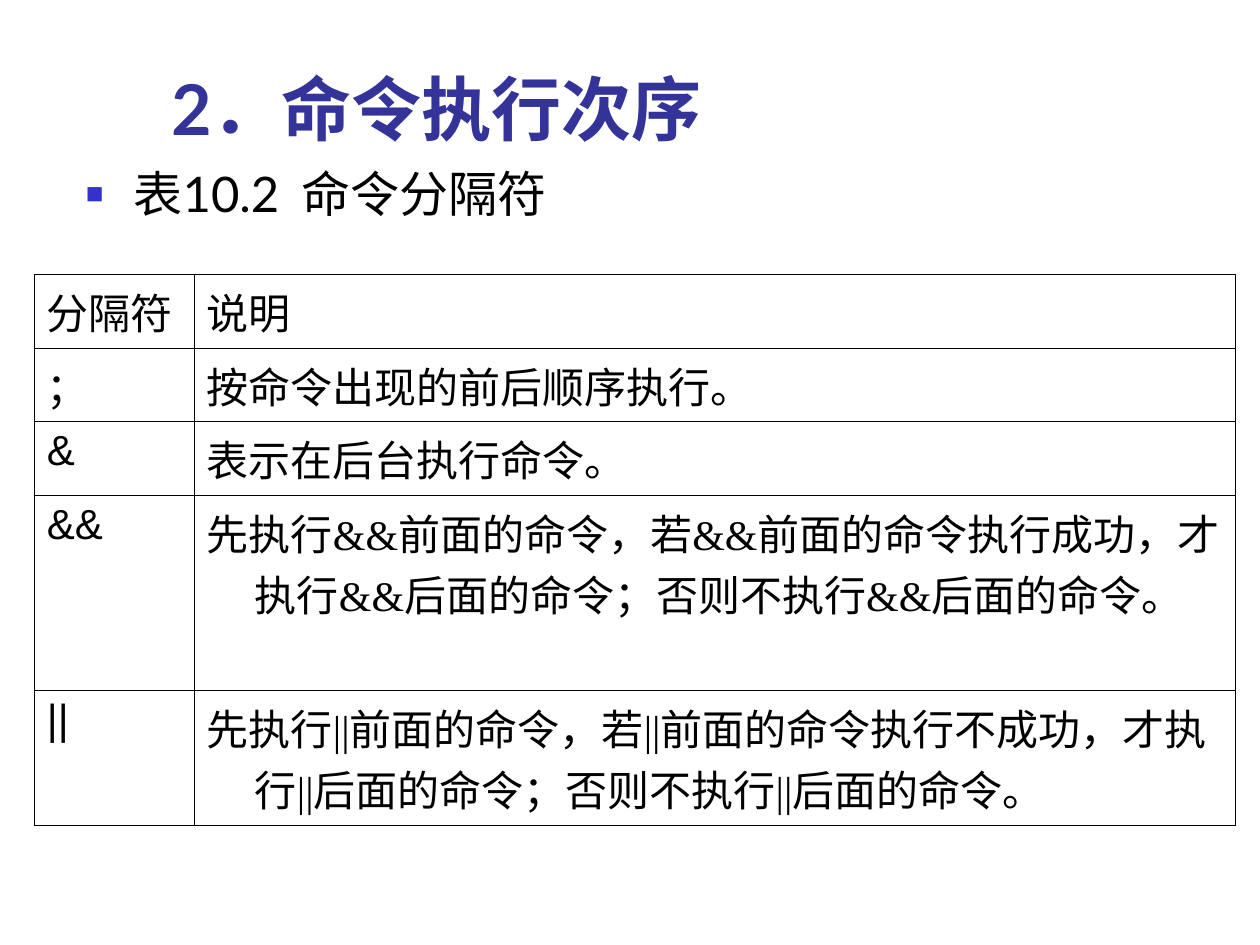
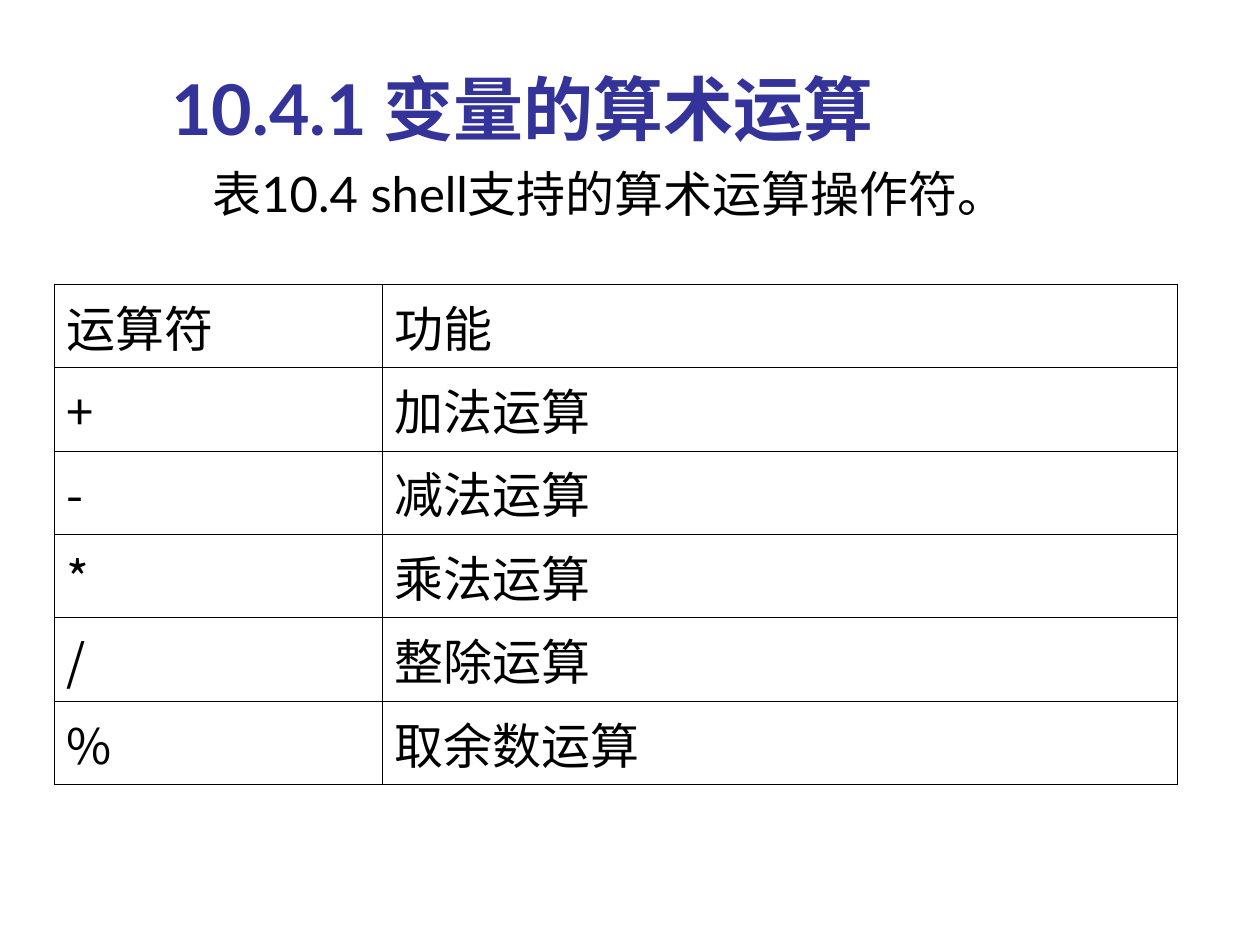
"""Build two slides of shell reference tables: command separators and arithmetic operators."""
from dataclasses import dataclass

from lxml.etree import SubElement
from pptx import Presentation
from pptx.dml.color import RGBColor
from pptx.enum.text import MSO_ANCHOR, MSO_AUTO_SIZE, PP_ALIGN
from pptx.oxml.ns import qn
from pptx.util import Pt

BLACK, NAVY, BLUE = "000000", "333399", "3333CC"
SANS, SERIF, PLAIN, CJK = "Lato", "Times New Roman", "Arial", "Noto Sans CJK SC"
HANGING = Pt(27.4)
BORDER = Pt(0.45)
TITLE_BOX = (90.7, 41.8, 545, 47.5)
TITLE_FORMAT = {"size": Pt(40), "name": SANS, "bold": True}
CAPTION_FORMAT = {"size": Pt(28), "name": SANS, "bold": False}


@dataclass(frozen=True)
class Caption:
    words: tuple[str, ...]
    box: tuple[float, float, float, float]
    bulleted: bool
    word_gap: float = 0


@dataclass(frozen=True)
class Reference:
    left: float
    top: float
    columns: tuple[float, float]
    row_heights: tuple[float, ...]
    size: float
    symbol_font: str
    meaning_font: str
    rows: tuple[tuple[str, str], ...]


@dataclass(frozen=True)
class Topic:
    title: str
    caption: Caption
    reference: Reference


TOPICS = (
    Topic(
        "2．命令执行次序",
        Caption(("表10.2", "命令分隔符"), (41.8, 90, 409, 49.7), True, 5.4),
        Reference(
            19.6, 156.8, (91.5, 594.8), (36, 36, 36, 93.6, 64.8), 24, PLAIN, SERIF,
            (
                ("分隔符", "说明"),
                ("；", "按命令出现的前后顺序执行。"),
                ("&", "表示在后台执行命令。"),
                ("&&", "先执行&&前面的命令，若&&前面的命令执行成功，"
                       "才执行&&后面的命令；否则不执行&&后面的命令。"),
                ("||", "先执行||前面的命令，若||前面的命令执行不成功，"
                       "才执行||后面的命令；否则不执行||后面的命令。"),
            ),
        ),
    ),
    Topic(
        "10.4.1 变量的算术运算",
        Caption(("表10.4 shell支持的算术运算操作符。",), (41.8, 90, 612.7, 55.4), False),
        Reference(
            31, 162.3, (187.2, 454.4), (41,) * 6, 28, CJK, CJK,
            (
                ("运算符", "功能"),
                ("+", "加法运算"),
                ("-", "减法运算"),
                ("*", "乘法运算"),
                ("/", "整除运算"),
                ("%", "取余数运算"),
            ),
        ),
    ),
)


def rgb(code: str) -> RGBColor:
    return RGBColor.from_string(code)


def add_text(paragraph, text: str, formats: dict, color: str):
    run = paragraph.add_run()
    run.text = text
    for attribute, value in formats.items():
        setattr(run.font, attribute, value)
    run.font.color.rgb = rgb(color)
    SubElement(run.font._element, qn("a:ea"), typeface=CJK)
    return run


def hang(paragraph):
    properties = paragraph._p.get_or_add_pPr()
    properties.set("marL", str(HANGING))
    properties.set("indent", str(-HANGING))
    return properties


def place(placeholder, box: tuple[float, ...], anchor: MSO_ANCHOR):
    for attribute, length in zip(("left", "top", "width", "height"), box):
        setattr(placeholder, attribute, Pt(length))
    frame = placeholder.text_frame
    frame.auto_size = MSO_AUTO_SIZE.NONE
    frame.word_wrap = True
    frame.vertical_anchor = anchor
    return frame.paragraphs[0]


def add_title(slide, title: str) -> None:
    heading = place(slide.shapes.title, TITLE_BOX, MSO_ANCHOR.BOTTOM)
    heading.alignment = PP_ALIGN.LEFT
    add_text(heading, title, TITLE_FORMAT, NAVY)


def add_caption(slide, caption: Caption) -> None:
    line = place(slide.placeholders[1], caption.box, MSO_ANCHOR.TOP)
    properties = hang(line)
    if caption.bulleted:
        SubElement(SubElement(properties, qn("a:buClr")), qn("a:srgbClr"), val=BLUE)
        SubElement(properties, qn("a:buSzPct"), val="60000")
        SubElement(properties, qn("a:buFont"), typeface=PLAIN)
        SubElement(properties, qn("a:buChar"), char="■")
    else:
        SubElement(properties, qn("a:buNone"))
    line.alignment = PP_ALIGN.LEFT if caption.bulleted else PP_ALIGN.CENTER
    line.space_before = Pt(0)
    for position, word in enumerate(caption.words):
        if position:
            gap = add_text(line, " ", CAPTION_FORMAT, BLACK)
            gap.font._element.set("spc", str(round(caption.word_gap * 100)))
        add_text(line, word, CAPTION_FORMAT, BLACK)


def add_borders(cell) -> None:
    properties = cell._tc.get_or_add_tcPr()
    for side in ("lnL", "lnR", "lnT", "lnB"):
        edge = SubElement(properties, qn(f"a:{side}"), w=str(BORDER))
        SubElement(SubElement(edge, qn("a:solidFill")), qn("a:srgbClr"), val=BLACK)


def add_reference(slide, reference: Reference) -> None:
    table = slide.shapes.add_table(
        len(reference.rows), len(reference.columns),
        Pt(reference.left), Pt(reference.top),
        Pt(sum(reference.columns)), Pt(sum(reference.row_heights)),
    ).table
    table.first_row = table.horz_banding = False
    for column, width in zip(table.columns, reference.columns):
        column.width = Pt(width)
    for row, height in zip(table.rows, reference.row_heights):
        row.height = Pt(height)
    for row_number, (symbol, meaning) in enumerate(reference.rows):
        symbol_font = reference.symbol_font if symbol.isascii() else SERIF
        meaning_font = reference.meaning_font if row_number else SERIF
        entries = ((symbol, symbol_font), (meaning, meaning_font))
        for column_number, (text, font) in enumerate(entries):
            cell = table.cell(row_number, column_number)
            add_borders(cell)
            cell.fill.background()
            entry = cell.text_frame.paragraphs[0]
            hang(entry)
            formats = {"size": Pt(reference.size), "name": font, "bold": False}
            add_text(entry, text, formats, BLACK)


def main() -> None:
    deck = Presentation()
    deck.slide_width, deck.slide_height = Pt(720), Pt(540)
    for topic in TOPICS:
        slide = deck.slides.add_slide(deck.slide_layouts[1])
        add_title(slide, topic.title)
        add_caption(slide, topic.caption)
        add_reference(slide, topic.reference)
    deck.save("out.pptx")


if __name__ == "__main__":
    main()
